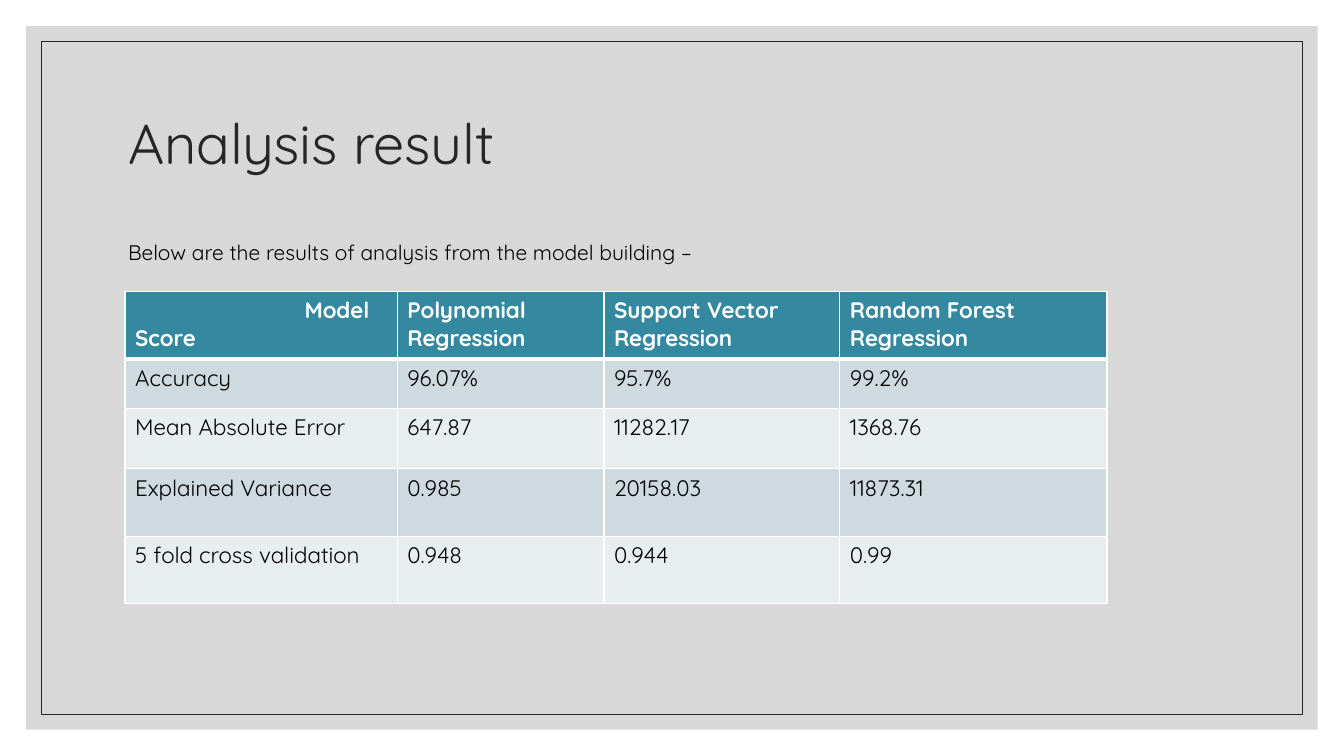
from dataclasses import dataclass

from lxml.etree import SubElement
from pptx import Presentation
from pptx.dml.color import RGBColor
from pptx.enum.shapes import MSO_SHAPE
from pptx.enum.text import MSO_ANCHOR, MSO_AUTO_SIZE, PP_ALIGN
from pptx.oxml.ns import qn
from pptx.util import Inches, Pt

FONT = "Quicksand"
WHITE, BLACK, DARK, GREY = "FFFFFF", "000000", "262626", "BFBFBF"
TEAL, BANDS = "3488A0", ("CEDADF", "E8EDF0")
WIDE, HIGH = 13.33, 7.5

COLS = (2.7, 2.05, 2.34, 2.65)
ROWS = (0.67, 0.49, 0.6, 0.67, 0.67)
SCORES = (
    ("Model\nScore", "Polynomial Regression", "Support Vector Regression",
     "Random Forest Regression"),
    ("Accuracy", "96.07%", "95.7%", "99.2%"),
    ("Mean Absolute Error", "647.87", "11282.17", "1368.76"),
    ("Explained Variance", "0.985", "20158.03", "11873.31"),
    ("5 fold cross validation", "0.948", "0.944", "0.99"),
)


@dataclass
class Style:
    """Look of a run of text."""
    size: float
    color: str
    bold: bool = False


@dataclass
class Panel:
    """Rectangle set in from the slide edge by an equal gap."""
    gap: float
    fill: str = ""
    alpha: int = 100
    line: str = ""


HEAD = Style(16, WHITE, True)
PLAIN = Style(16, BLACK)
PANELS = (Panel(0.26, fill=GREY, alpha=60), Panel(0.41, line=DARK))


def paint(target, color: str) -> None:
    """Give a fill a solid colour."""
    target.solid()
    target.fore_color.rgb = RGBColor.from_string(color)


def format_text(frame, style: Style) -> None:
    """Format every run of a text frame."""
    for para in frame.paragraphs:
        for run in para.runs:
            run.font.name = FONT
            run.font.size = Pt(style.size)
            run.font.bold = style.bold
            run.font.color.rgb = RGBColor.from_string(style.color)


def draw_panel(slide, panel: Panel, depth: int) -> None:
    """Draw a panel behind the text, at the given depth."""
    gap = panel.gap
    shape = slide.shapes.add_shape(
        MSO_SHAPE.RECTANGLE, Inches(gap), Inches(gap),
        Inches(WIDE - 2 * gap), Inches(HIGH - 2 * gap))
    shape.shadow.inherit = False
    if panel.fill:
        paint(shape.fill, panel.fill)
        color = shape.fill._xPr.find(qn("a:solidFill"))[0]
        SubElement(color, qn("a:alpha"), val=str(panel.alpha * 1000))
    else:
        shape.fill.background()
    if panel.line:
        paint(shape.line.fill, panel.line)
        shape.line.width = Pt(0.5)
    else:
        shape.line.fill.background()
    slide.shapes._spTree.insert(2 + depth, shape._element)


def fill_holder(holder, text: str, top: float, height: float,
                style: Style, anchor, spacing: float):
    """Place a placeholder, set its text and return the paragraph."""
    holder.left, holder.top = Inches(1.17), Inches(top)
    holder.width, holder.height = Inches(11), Inches(height)
    frame = holder.text_frame
    frame.text = text
    frame.word_wrap = True
    frame.auto_size = MSO_AUTO_SIZE.NONE
    frame.vertical_anchor = anchor
    para = frame.paragraphs[0]
    para.alignment = PP_ALIGN.LEFT
    para.line_spacing = spacing
    format_text(frame, style)
    return para


def add_edges(cell, base: float) -> None:
    """Draw white cell edges, the lower one of its own width."""
    props = cell._tc.get_or_add_tcPr()
    for side, width in (("L", 1), ("R", 1), ("T", 1), ("B", base)):
        edge = SubElement(props, qn(f"a:ln{side}"), w=str(Pt(width)))
        solid = SubElement(edge, qn("a:solidFill"))
        SubElement(solid, qn("a:srgbClr"), val=WHITE)


def draw_table(slide) -> None:
    """Draw the table of model scores."""
    table = slide.shapes.add_table(
        len(ROWS), len(COLS), Inches(1.24), Inches(2.89),
        Inches(sum(COLS)), Inches(sum(ROWS))).table
    for col, width in zip(table.columns, COLS):
        col.width = Inches(width)
    for row, height in zip(table.rows, ROWS):
        row.height = Inches(height)
    for r, texts in enumerate(SCORES):
        for c, text in enumerate(texts):
            cell = table.cell(r, c)
            cell.text_frame.text = text
            format_text(cell.text_frame, PLAIN if r else HEAD)
            add_edges(cell, 1 if r else 3)
            paint(cell.fill, BANDS[(r - 1) % 2] if r else TEAL)
    model = table.cell(0, 0).text_frame.paragraphs[0]
    model._p.get_or_add_pPr().set("marL", str(Inches(1.68)))


def main() -> None:
    """Build the slide and save it."""
    deck = Presentation()
    deck.slide_width, deck.slide_height = Inches(WIDE), Inches(HIGH)
    slide = deck.slides.add_slide(deck.slide_layouts[1])
    paint(slide.background.fill, WHITE)
    for depth, panel in enumerate(PANELS):
        draw_panel(slide, panel, depth)
    title, body = slide.placeholders
    fill_holder(title, "Analysis result", 0.7, 1.5,
                Style(40, DARK), MSO_ANCHOR.MIDDLE, 0.9)
    intro = fill_holder(
        body, "Below are the results of analysis from the model building –",
        2.3, 4.21, Style(15, BLACK), MSO_ANCHOR.TOP, 1.1)
    intro.space_before = Pt(9)
    props = intro._p.get_or_add_pPr()
    props.set("marL", "0")
    props.set("indent", "0")
    SubElement(props, qn("a:buNone"))
    draw_table(slide)
    deck.save("out.pptx")


main()
